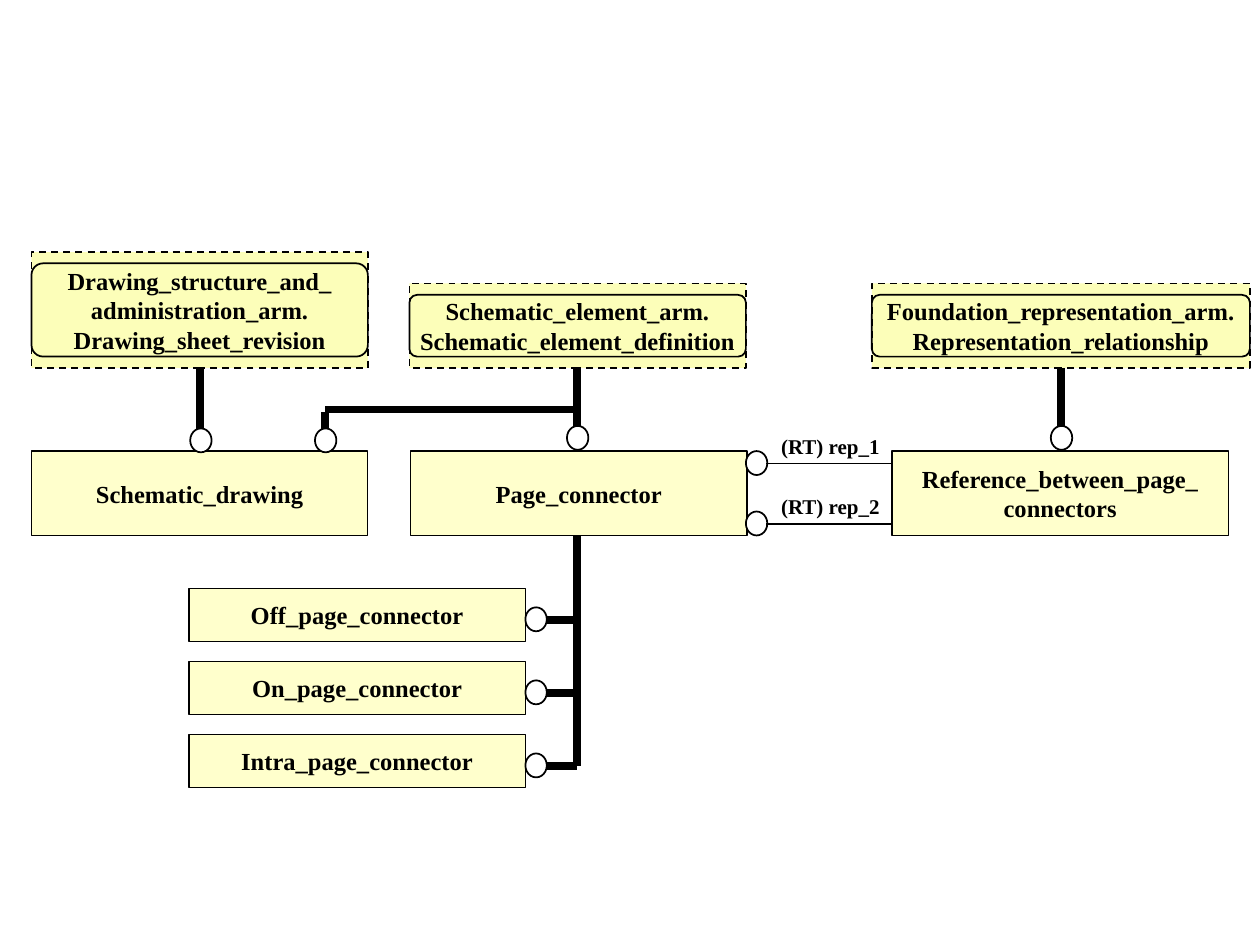
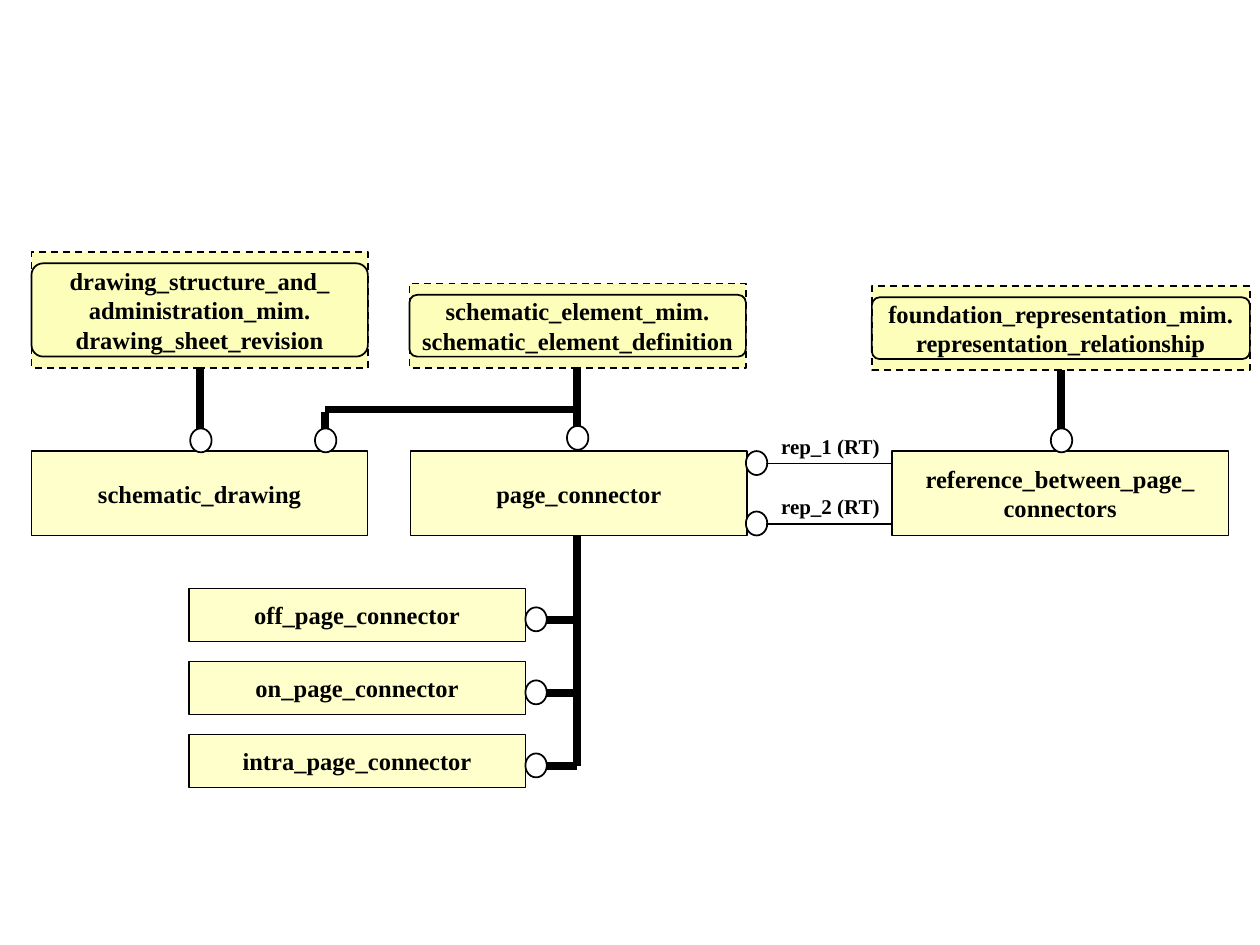
import dataclasses

import lxml.etree
import pptx
import pptx.dml.color
import pptx.enum.dml
import pptx.enum.shapes
import pptx.enum.text
import pptx.oxml.ns
import pptx.util

PX = 9144  # 100 px to the inch
COLOURS = {"ink": "000000", "paper": "FFFFFF", "entity": "FFFFCC", "imported": "FCFEB9"}
FONT = "Times New Roman"
THIN, NORMAL, THICK = 0.75, 1, 4.5
ENTITY_WIDTH, ENTITY_HEIGHT = 267, 67
CIRCLE_WIDTH, CIRCLE_HEIGHT = 17, 19
SHAPES = pptx.enum.shapes.MSO_SHAPE
ALIGN = pptx.enum.text.PP_ALIGN


@dataclasses.dataclass
class Box:
    left: int
    top: int
    width: int = ENTITY_WIDTH
    height: int = ENTITY_HEIGHT

    @property
    def right(self):
        return self.left + self.width

    @property
    def bottom(self):
        return self.top + self.height

    def emu(self):
        return [length * PX for length in (self.left, self.top, self.width, self.height)]


@dataclasses.dataclass
class Model:
    """How one schema writes its names, and how far its third import is lowered."""
    schema: str
    lower_case: bool
    role: str
    foundation_shift: int

    def name(self, text):
        text = text.format(schema=self.schema)
        return text.lower() if self.lower_case else text


MODELS = [
    Model("arm", False, "(RT) {}", 0),
    Model("mim", True, "{} (RT)", 2),
]


def rgb(name):
    return pptx.dml.color.RGBColor.from_string(COLOURS[name])


def set_line(line, weight, dashed=False):
    line.color.rgb = rgb("ink")
    line.width = pptx.util.Pt(weight)
    if dashed:
        line.dash_style = pptx.enum.dml.MSO_LINE.DASH


def add_outline(shapes, kind, box, weight, fill=None, dashed=False):
    shape = shapes.add_shape(kind, *box.emu())
    shape.shadow.inherit = False
    if fill:
        shape.fill.solid()
        shape.fill.fore_color.rgb = rgb(fill)
    else:
        shape.fill.background()
    set_line(shape.line, weight, dashed)
    return shape


def add_line(page, start, end, weight):
    points = [length * PX for length in (*start, *end)]
    line = page.shapes.add_connector(pptx.enum.shapes.MSO_CONNECTOR.STRAIGHT, *points)
    set_line(line.line, weight)
    lxml.etree.SubElement(line._element.spPr, pptx.oxml.ns.qn("a:effectLst"))


def add_circle(page, left, top):
    box = Box(left, top, CIRCLE_WIDTH, CIRCLE_HEIGHT)
    add_outline(page.shapes, SHAPES.OVAL, box, NORMAL, "paper")


def write(shape, lines, size, align):
    frame = shape.text_frame
    frame.word_wrap = False
    for number, line in enumerate(lines):
        para = frame.add_paragraph() if number else frame.paragraphs[0]
        para.alignment = align
        span = para.add_run()
        span.text = line
        span.font.name = FONT
        span.font.size = pptx.util.Pt(size)
        span.font.bold = True
        span.font.color.rgb = rgb("ink")


def write_centred(shape, lines):
    shape.text_frame.vertical_anchor = pptx.enum.text.MSO_ANCHOR.MIDDLE
    write(shape, lines, 14, ALIGN.CENTER)


def draw_entity(page, box, lines):
    write_centred(add_outline(page.shapes, SHAPES.RECTANGLE, box, THIN, "entity"), lines)


def draw_imported_entity(page, box, lines):
    """Dashed box of another schema with a rounded frame inside it."""
    group = page.shapes.add_group_shape()
    outer = add_outline(group.shapes, SHAPES.RECTANGLE, box, NORMAL, "imported", dashed=True)
    write_centred(outer, lines)
    frame_box = Box(box.left, box.top + 9, box.width, box.height - 18)
    frame = add_outline(group.shapes, SHAPES.ROUNDED_RECTANGLE, frame_box, NORMAL)
    frame.adjustments[0] = 0.125


def draw_drop(page, x, top, bottom):
    """Thick line down to a circle that stands on the subtype."""
    add_line(page, (x, top), (x, bottom), THICK)
    add_circle(page, x - 8, bottom - 2)


def draw_subtypes(page, parent, spine, names):
    first_top, step, height = 467, 58, 42
    boxes = [Box(150, first_top + step * row, height=height) for row in range(len(names))]
    add_line(page, (spine, parent.bottom), (spine, boxes[-1].top + 25), THICK)
    for box, name in zip(boxes, names):
        draw_entity(page, box, [name])
        branch = box.top + 25
        add_line(page, (box.right + CIRCLE_WIDTH - 1, branch), (spine, branch), THICK)
        add_circle(page, box.right, box.top + 15)


def draw_roles(page, target, source, labels):
    """Thin lines from the source to circles on the right side of the target."""
    for row, label in enumerate(labels):
        top = target.top + 48 * row
        add_circle(page, target.right - 1, top)
        add_line(page, (target.right + 15, top + 10), (source.left, top + 10), THIN)
        label_box = Box(source.left - 99, top - 19, 99, 30)
        text = page.shapes.add_textbox(*label_box.emu())
        write(text, [label], 12, ALIGN.RIGHT)
        text.text_frame.auto_size = pptx.enum.text.MSO_AUTO_SIZE.SHAPE_TO_FIT_TEXT


def draw_model(page, model):
    def names(*texts):
        return [model.name(text) for text in texts]

    sheet = Box(25, 200, height=92)
    element = Box(325, 225)
    foundation = Box(692, 225 + model.foundation_shift, 300)
    drawing, connector, reference = (Box(left, 358) for left in (25, 326, 708))
    spine, elbow = 458, 258

    draw_entity(page, drawing, names("Schematic_drawing"))
    draw_entity(page, connector, names("Page_connector"))
    draw_entity(page, reference, names("Reference_between_page_", "connectors"))
    draw_imported_entity(page, sheet, names(
        "Drawing_structure_and_", "administration_{schema}.", "Drawing_sheet_revision"))
    draw_imported_entity(page, element, names(
        "Schematic_element_{schema}.", "Schematic_element_definition"))
    draw_imported_entity(page, foundation, names(
        "Foundation_representation_{schema}.", "Representation_relationship"))

    draw_drop(page, 159, sheet.bottom, 342)
    draw_drop(page, spine, element.bottom, 340)
    add_line(page, (elbow, 325), (spine, 325), THICK)
    draw_drop(page, elbow, 327, 342)
    draw_drop(page, 842, foundation.bottom, foundation.bottom + 48)

    draw_subtypes(page, connector, spine, names(
        "Off_page_connector", "On_page_connector", "Intra_page_connector"))
    draw_roles(page, connector, reference, [model.role.format(role) for role in ("rep_1", "rep_2")])


def main():
    deck = pptx.Presentation()
    deck.slide_width, deck.slide_height = 1000 * PX, 750 * PX
    for model in MODELS:
        draw_model(deck.slides.add_slide(deck.slide_layouts[6]), model)
    deck.save("out.pptx")


if __name__ == "__main__":
    main()
